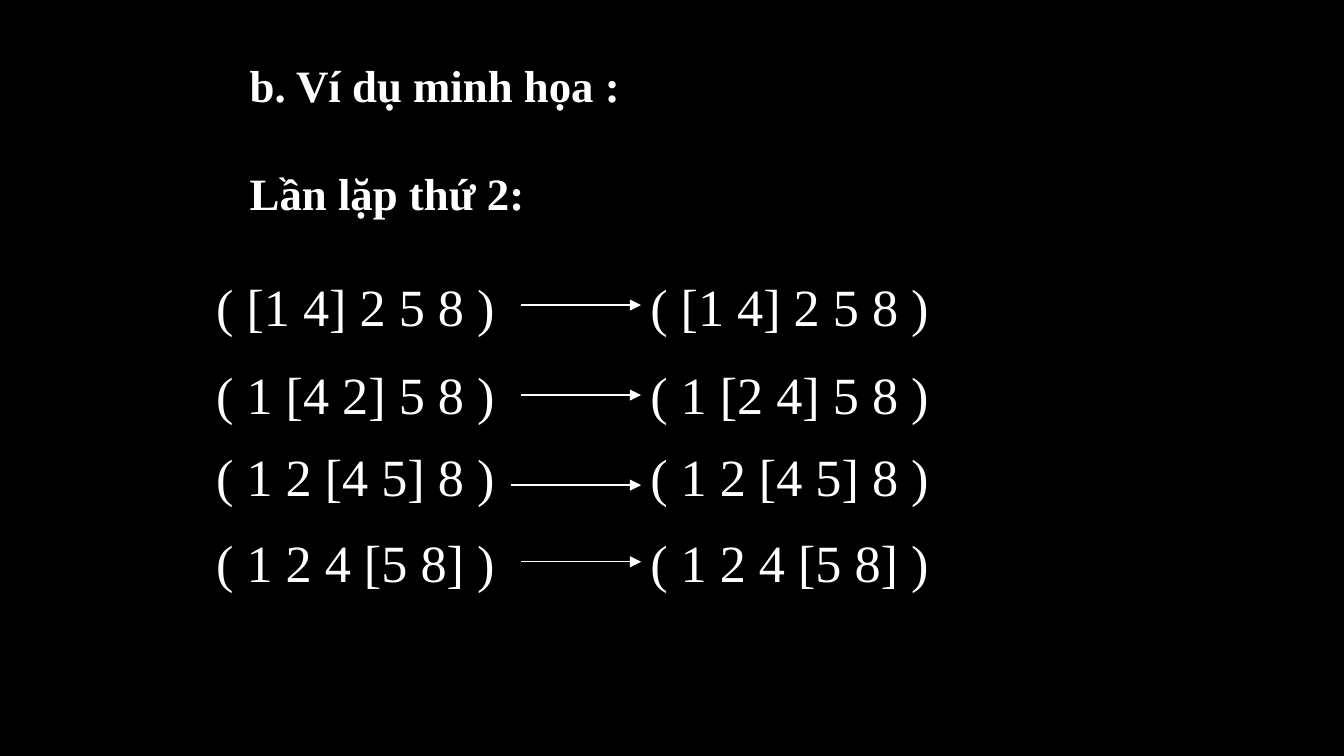
from lxml.etree import SubElement
from pptx import Presentation
from pptx.dml.color import RGBColor
from pptx.enum.shapes import MSO_CONNECTOR
from pptx.oxml.ns import qn
from pptx.util import Inches, Pt

HEADS = ["b. Ví dụ minh họa :", "Lần lặp thứ 2:"]
STEPS = [
    ("( [1 4] 2 5 8 )", "( [1 4] 2 5 8 )", 1.99, 3.88, 2.27),
    ("( 1 [4 2] 5 8 )", "( 1 [2 4] 5 8 )", 2.65, 3.88, 2.94),
    ("( 1 2 [4 5] 8 )", "( 1 2 [4 5] 8 )", 3.26, 3.8, 3.61),
    ("( 1 2 4 [5 8] )", "( 1 2 4 [5 8] )", 3.9, 3.88, 4.18),
]
THEME = {
    "back": RGBColor(0, 0, 0),
    "ink": RGBColor(255, 255, 255),
    "font": "Times New Roman",
    "head": Pt(24),
    "step": Pt(28),
    "gap": Pt(28.8),
    "line": Pt(0.75),
}
LEFT, WIDE, TAB, TIP = 1.51, 6.52, 3.23, 4.77


def style(para, size, bold=False):
    """Give the runs of a paragraph the theme font."""
    for run in para.runs:
        font = run.font
        font.name, font.size, font.bold = THEME["font"], size, bold
        font.color.rgb = THEME["ink"]


def add_text(slide, text, *area):
    """Add a wrapping text box and return its paragraphs."""
    frame = slide.shapes.add_textbox(*map(Inches, area)).text_frame
    frame.word_wrap = True
    frame.text = text
    return frame.paragraphs


def add_heads(slide):
    """Add the two headings."""
    paras = add_text(slide, "\n".join(HEADS), 1.76, 0.38, 4.74, 1.31)
    paras[1].space_before = THEME["gap"]
    for para in paras:
        style(para, THEME["head"], True)


def add_step(slide, old, new, top):
    """Add one step as two columns set by a tab stop."""
    para = add_text(slide, f"{old}\t{new}", LEFT, top, WIDE, 0.57)[0]
    tabs = SubElement(para._p.get_or_add_pPr(), qn("a:tabLst"))
    SubElement(tabs, qn("a:tab"), pos=str(Inches(TAB)), algn="l")
    style(para, THEME["step"])


def add_arrow(slide, start, y):
    """Add a level arrow that ends before the new order."""
    ends = map(Inches, (start, y, TIP, y))
    arrow = slide.shapes.add_connector(MSO_CONNECTOR.STRAIGHT, *ends)
    arrow.line.width = THEME["line"]
    arrow.line.color.rgb = THEME["ink"]
    SubElement(arrow.line._get_or_add_ln(), qn("a:tailEnd"), type="triangle")
    SubElement(arrow._element.spPr, qn("a:effectLst"))


def main():
    """Build the slide and save it."""
    deck = Presentation()
    deck.slide_width = Inches(10)
    deck.slide_height = deck.slide_width * 9 // 16
    slide = deck.slides.add_slide(deck.slide_layouts[6])
    fill = slide.background.fill
    fill.solid()
    fill.fore_color.rgb = THEME["back"]
    add_heads(slide)
    for old, new, top, start, y in STEPS:
        add_step(slide, old, new, top)
    for old, new, top, start, y in STEPS:
        add_arrow(slide, start, y)
    deck.save("out.pptx")


if __name__ == "__main__":
    main()
